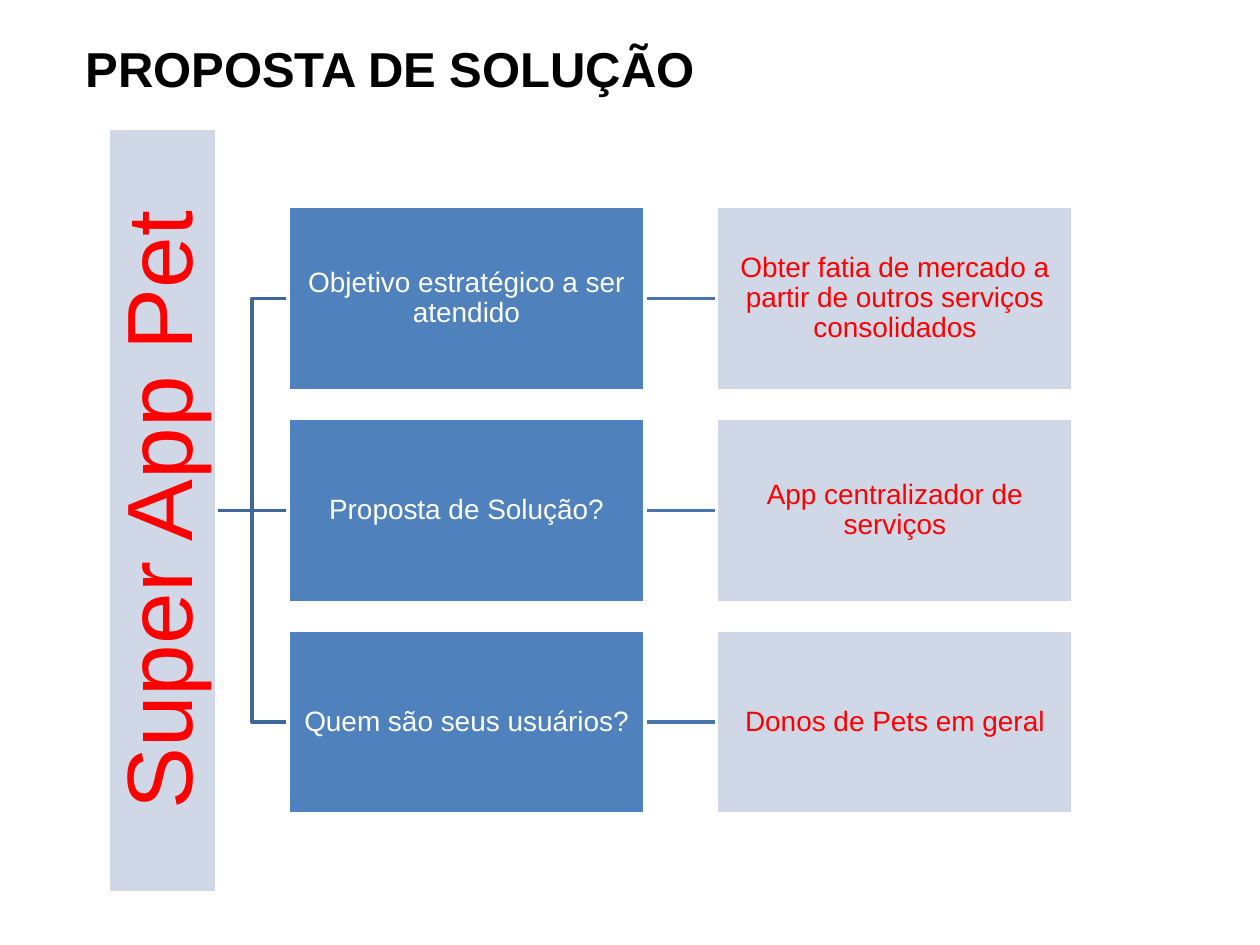
import pptx
import pptx.dml.color
import pptx.enum.shapes
import pptx.enum.text
import pptx.oxml
import pptx.oxml.ns
import pptx.util

Pt = pptx.util.Pt
HEX = {"black": "000000", "white": "FFFFFF", "red": "FF0000", "blue": "4F81BD",
       "pale": "D0D8E8", "trunk": "3F6797", "link": "4875AC"}
ROWS = [
    ("Objetivo estratégico a ser atendido",
     "Obter fatia de mercado a partir de outros serviços consolidados"),
    ("Proposta de Solução?", "App centralizador de serviços"),
    ("Quem são seus usuários?", "Donos de Pets em geral"),
]
MID = 291.6
PITCH = 121
WIDE, HIGH = 203.8, 105.2
GAP = 41
ROOT = 123.7
LEFT = ROOT + GAP
RIGHT = LEFT + WIDE + GAP


def color(name):
    return pptx.dml.color.RGBColor.from_string(HEX[name])


def style(line, name):
    line.color.rgb = color(name)
    line.width = Pt(2)


def write(shape, text, size, ink, inset):
    frame = shape.text_frame
    frame.word_wrap = True
    frame.vertical_anchor = pptx.enum.text.MSO_ANCHOR.MIDDLE
    frame.margin_left = frame.margin_right = Pt(inset)
    frame.margin_top = frame.margin_bottom = Pt(inset)
    para = frame.paragraphs[0]
    para.text = text
    para.alignment = pptx.enum.text.PP_ALIGN.CENTER
    para.line_spacing = 0.9
    para.font.name = "Arial"
    para.font.size = Pt(size)
    para.font.color.rgb = color(ink)


def box(slide, x, y, wide, high, fill, text, ink, size=16, inset=0.8):
    """Add a filled box centred on the height y."""
    shape = slide.shapes.add_shape(
        pptx.enum.shapes.MSO_SHAPE.RECTANGLE,
        Pt(x), Pt(y - high / 2), Pt(wide), Pt(high))
    shape.shadow.inherit = False
    shape.fill.solid()
    shape.fill.fore_color.rgb = color(fill)
    style(shape.line, "white")
    write(shape, text, size, ink, inset)
    return shape


def link(slide, x, y, name):
    """Add a level line across one gap."""
    line = slide.shapes.add_connector(
        pptx.enum.shapes.MSO_CONNECTOR.STRAIGHT, Pt(x), Pt(y), Pt(x + GAP), Pt(y))
    style(line.line, name)
    line._element.spPr.append(pptx.oxml.parse_xml(
        "<a:effectLst %s/>" % pptx.oxml.ns.nsdecls("a")))


def branch(slide, y):
    """Add a stepped line from the root to the row at y."""
    bend = ROOT + GAP / 2
    build = slide.shapes.build_freeform(Pt(ROOT), Pt(MID))
    build.add_line_segments(
        [(Pt(bend), Pt(MID)), (Pt(bend), Pt(y)), (Pt(LEFT), Pt(y))], close=False)
    shape = build.convert_to_shape()
    shape.shadow.inherit = False
    shape.fill.background()
    style(shape.line, "trunk")


def title(slide, text):
    shape = slide.shapes.add_textbox(Pt(41.8), Pt(18.7), Pt(674.6), Pt(41))
    shape.text_frame.word_wrap = True
    para = shape.text_frame.paragraphs[0]
    para.text = text
    para.font.name = "Arial"
    para.font.size = Pt(28)
    para.font.bold = True
    para.font.color.rgb = color("black")


def main():
    deck = pptx.Presentation()
    deck.slide_width, deck.slide_height = Pt(720), Pt(540)
    slide = deck.slides.add_slide(deck.slide_layouts[6])
    title(slide, "PROPOSTA DE SOLUÇÃO")

    spots = [MID + (i - 1) * PITCH for i in range(len(ROWS))]
    for y in reversed(spots):
        link(slide, LEFT + WIDE, y, "link")
        if y == MID:
            link(slide, ROOT, y, "trunk")
        else:
            branch(slide, y)

    long, thick = 437, 62
    root = box(slide, ROOT - thick / 2 - long / 2, MID, long, thick,
               "pale", "Super App Pet", "red", 53, 2.7)
    root.rotation = 270
    for y, (topic, reply) in zip(spots, ROWS):
        box(slide, LEFT, y, WIDE, HIGH, "blue", topic, "white")
        box(slide, RIGHT, y, WIDE, HIGH, "pale", reply, "red")
    deck.save("out.pptx")


if __name__ == "__main__":
    main()
